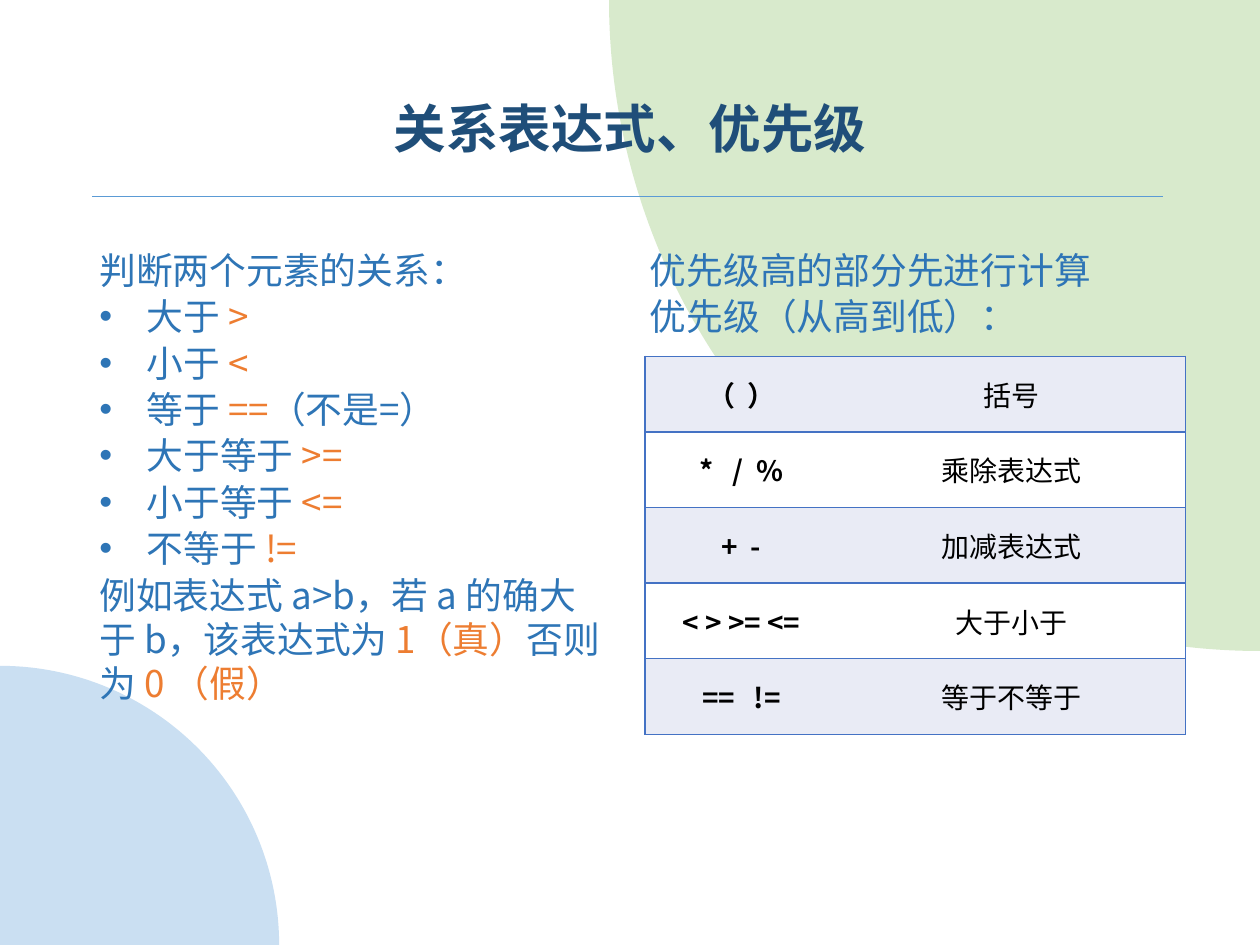
import pptx
import pptx.dml.color
import pptx.enum.lang
import pptx.enum.shapes
import pptx.enum.text
import pptx.oxml.ns
import pptx.util
from lxml import etree

Pt = pptx.util.Pt
ALIGN = pptx.enum.text.PP_ALIGN
ANCHOR = pptx.enum.text.MSO_ANCHOR

THEME = {
    "font": "Noto Sans CJK SC",
    "title": {"size": 30, "bold": True, "color": "1F4E79"},
    "body": {"size": 21, "bold": False, "color": "2E75B6"},
    "accent": {"size": 21, "bold": False, "color": "ED7D31"},
    "operator": {"size": 16, "bold": True, "color": "000000"},
    "meaning": {"size": 16, "bold": False, "color": "000000"},
    "rule": "5B9BD5",
    "border": "4472C4",
    "bands": ("E9EBF5", "FFFFFF"),
    "green": "D8EACC",
    "blue": "CADFF2",
}

TITLE = "关系表达式、优先级"
# Each paragraph: (bulleted, [(text, style), ...])
RELATIONS = [
    (False, [("判断两个元素的关系：", "body")]),
    (True, [("大于 ", "body"), (">", "accent")]),
    (True, [("小于 ", "body"), ("<", "accent")]),
    (True, [("等于 ", "body"), ("==", "accent"), ("（不是=）", "body")]),
    (True, [("大于等于 ", "body"), (">=", "accent")]),
    (True, [("小于等于 ", "body"), ("<=", "accent")]),
    (True, [("不等于 ", "body"), ("!=", "accent")]),
    (False, [("例如表达式 a>b，若 a 的确大于 b，该表达式为 ", "body"), ("1（真）", "accent"),
             ("否则为 ", "body"), ("0 （假）", "accent")]),
]
PRIORITY_INTRO = [
    (False, [("优先级高的部分先进行计算", "body")]),
    (False, [("优先级（从高到低）：", "body")]),
]
PRIORITIES = [
    ("（  ）", "括号"),
    ("*   /  %", "乘除表达式"),
    ("+  -", "加减表达式"),
    ("< > >= <=", "大于小于"),
    ("==   !=", "等于不等于"),
]

SLIDE_WIDTH, SLIDE_HEIGHT = 720, 540
BODY_TOP, BODY_WIDTH, BODY_HEIGHT = 138, 306, 350
BODY_LEFTS = (49.7, 364.3)
LINE_PITCH, PARAGRAPH_GAP, BULLET_INDENT = 25.2, 1.3, 27
TABLE_LEFT, TABLE_TOP, ROW_HEIGHT = 368.6, 203.6, 43.2
COLUMN_WIDTHS = (110.2, 198.7)


def rgb(value):
    return pptx.dml.color.RGBColor.from_string(value)


def add_child(parent, tag, **attributes):
    child = etree.SubElement(parent, pptx.oxml.ns.qn(tag))
    for name, value in attributes.items():
        child.set(name, str(value))
    return child


def add_run(paragraph, text, style_name):
    style = THEME[style_name]
    run = paragraph.add_run()
    run.text = text
    formats = {
        "size": Pt(style["size"]),
        "bold": style["bold"],
        "name": THEME["font"],
        "language_id": pptx.enum.lang.MSO_LANGUAGE_ID.SIMPLIFIED_CHINESE,
    }
    for name, value in formats.items():
        setattr(run.font, name, value)
    run.font.color.rgb = rgb(style["color"])
    add_child(run.font._element, "a:ea", typeface=THEME["font"])


def add_quarter_disc(slide, center, radius, rotation, color):
    """Draw a quarter disc; unrotated, it fills the upper left quadrant."""
    left, top = (position - radius for position in center)
    disc = slide.shapes.add_shape(
        pptx.enum.shapes.MSO_SHAPE.PIE, Pt(left), Pt(top), Pt(2 * radius), Pt(2 * radius))
    disc.adjustments[0] = 108
    disc.adjustments[1] = 162
    disc.rotation = rotation
    disc.shadow.inherit = False
    disc.fill.solid()
    disc.fill.fore_color.rgb = rgb(color)
    disc.line.fill.background()


def add_rule(slide, left, right, top):
    rule = slide.shapes.add_connector(
        pptx.enum.shapes.MSO_CONNECTOR.STRAIGHT, Pt(left), Pt(top), Pt(right), Pt(top))
    rule.line.color.rgb = rgb(THEME["rule"])
    rule.line.width = Pt(1)
    add_child(rule._element.spPr, "a:effectLst")


def add_text_frame(slide, left, top, width, height):
    box = slide.shapes.add_textbox(Pt(left), Pt(top), Pt(width), Pt(height))
    box.text_frame.word_wrap = True
    return box.text_frame


def add_title(slide):
    frame = add_text_frame(slide, 49.7, 28.8, 620.6, 66.2)
    frame.vertical_anchor = ANCHOR.BOTTOM
    paragraph = frame.paragraphs[0]
    paragraph.alignment = ALIGN.CENTER
    paragraph.line_spacing = 0.9
    add_run(paragraph, TITLE, "title")


def add_body(slide, left, paragraphs):
    frame = add_text_frame(slide, left, BODY_TOP, BODY_WIDTH, BODY_HEIGHT)
    for index, (bulleted, runs) in enumerate(paragraphs):
        paragraph = frame.add_paragraph() if index else frame.paragraphs[0]
        paragraph.line_spacing = Pt(LINE_PITCH)
        paragraph.space_before = Pt(PARAGRAPH_GAP if index else 0)
        if bulleted:
            properties = paragraph._p.get_or_add_pPr()
            properties.set("marL", str(Pt(BULLET_INDENT)))
            properties.set("indent", str(-Pt(BULLET_INDENT)))
            add_child(properties, "a:buFont", typeface="Arial")
            add_child(properties, "a:buChar", char="•")
        for text, style_name in runs:
            add_run(paragraph, text, style_name)


def set_borders(cell, edges):
    """Draw the named edges (L, R, T, B) and hide the others."""
    properties = cell._tc.get_or_add_tcPr()
    for position, edge in enumerate("LRTB"):
        border = etree.Element(pptx.oxml.ns.qn(f"a:ln{edge}"), w=str(Pt(1)))
        if edge in edges:
            fill = add_child(border, "a:solidFill")
            add_child(fill, "a:srgbClr", val=THEME["border"])
        else:
            add_child(border, "a:noFill")
        properties.insert(position, border)


def add_priority_table(slide):
    row_count = len(PRIORITIES)
    table = slide.shapes.add_table(
        row_count, len(COLUMN_WIDTHS), Pt(TABLE_LEFT), Pt(TABLE_TOP),
        Pt(sum(COLUMN_WIDTHS)), Pt(row_count * ROW_HEIGHT)).table
    table.first_row = False
    table.horz_banding = False
    for column, width in zip(table.columns, COLUMN_WIDTHS):
        column.width = Pt(width)
    for row_index, texts in enumerate(PRIORITIES):
        table.rows[row_index].height = Pt(ROW_HEIGHT)
        columns = zip(texts, ("operator", "meaning"), ("LTB", "RTB"))
        for column_index, (text, style_name, edges) in enumerate(columns):
            cell = table.cell(row_index, column_index)
            cell.vertical_anchor = ANCHOR.MIDDLE
            cell.fill.solid()
            cell.fill.fore_color.rgb = rgb(THEME["bands"][row_index % 2])
            set_borders(cell, edges)
            paragraph = cell.text_frame.paragraphs[0]
            paragraph.alignment = ALIGN.CENTER
            add_run(paragraph, text, style_name)


def main():
    presentation = pptx.Presentation()
    presentation.slide_width = Pt(SLIDE_WIDTH)
    presentation.slide_height = Pt(SLIDE_HEIGHT)
    slide = presentation.slides.add_slide(presentation.slide_layouts[6])
    add_quarter_disc(slide, (SLIDE_WIDTH, 0), 372, 270, THEME["green"])
    add_quarter_disc(slide, (0, SLIDE_HEIGHT), 159.5, 90, THEME["blue"])
    add_rule(slide, 52.6, 664.6, 112.3)
    add_title(slide)
    for left, paragraphs in zip(BODY_LEFTS, (RELATIONS, PRIORITY_INTRO)):
        add_body(slide, left, paragraphs)
    add_priority_table(slide)
    presentation.save("out.pptx")


if __name__ == "__main__":
    main()
